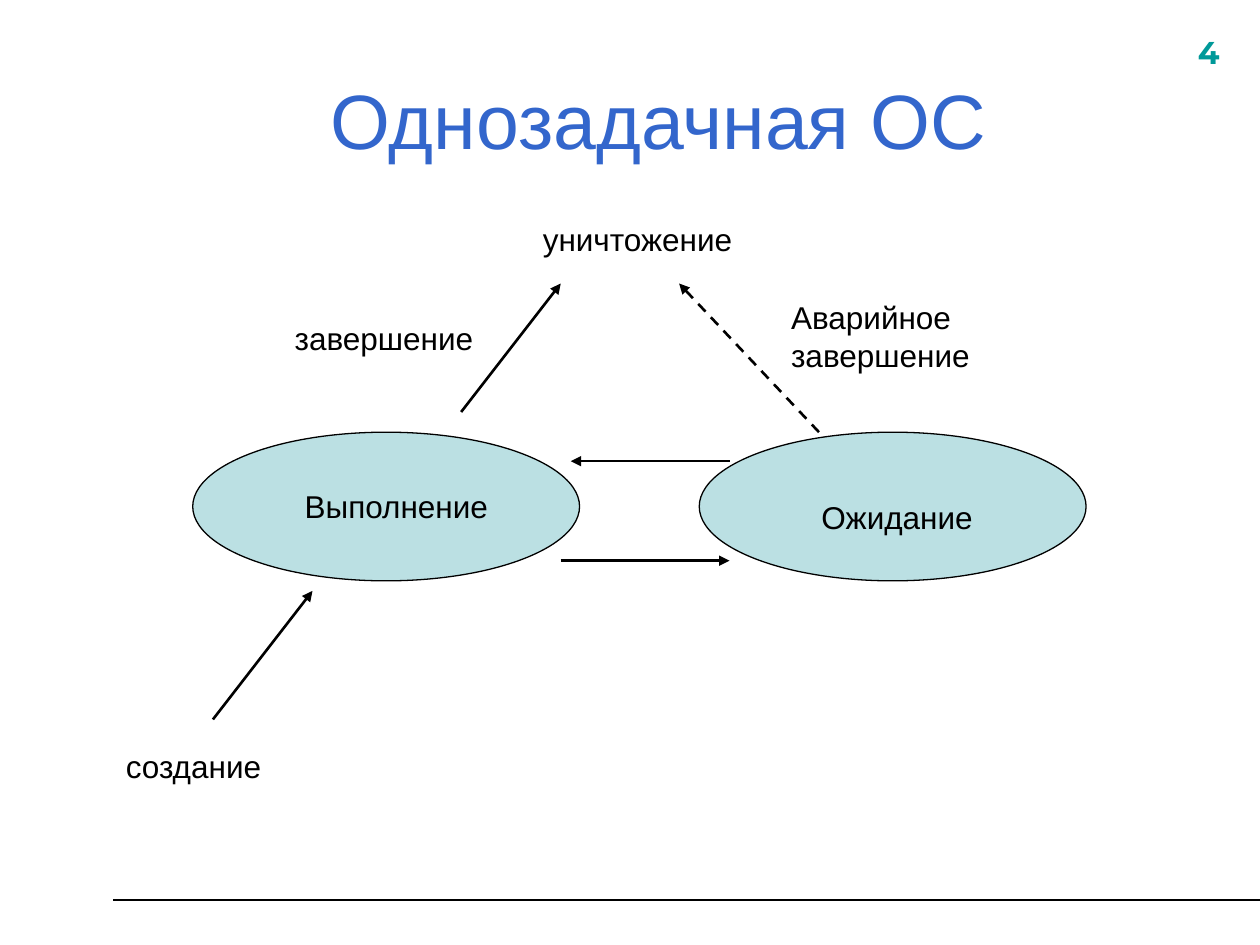
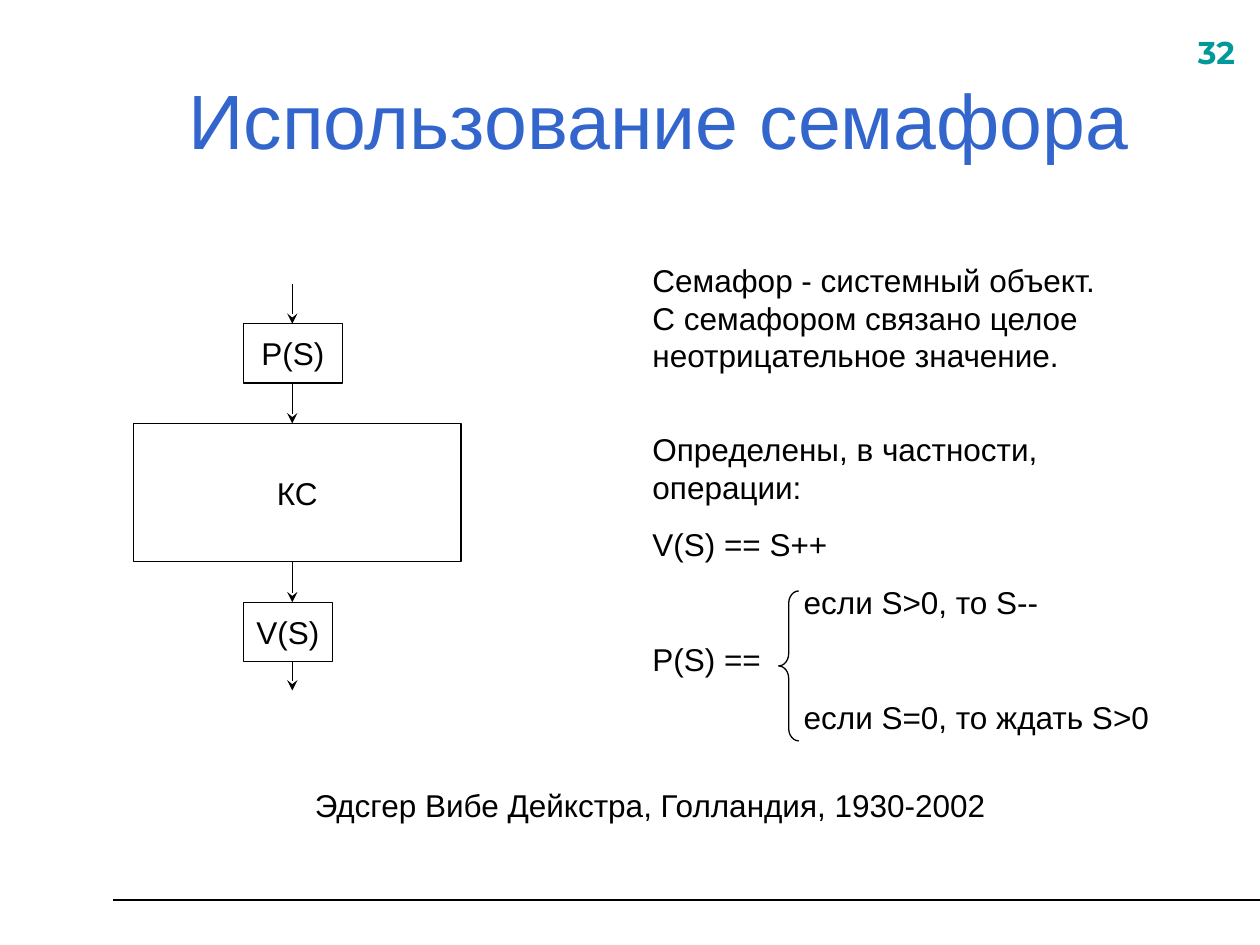
from dataclasses import dataclass

from lxml.etree import SubElement
from pptx import Presentation
from pptx.dml.color import RGBColor
from pptx.enum.dml import MSO_LINE_DASH_STYLE as Dash
from pptx.enum.shapes import MSO_CONNECTOR as Connector, MSO_SHAPE as Shape
from pptx.enum.text import MSO_ANCHOR as Anchor, MSO_AUTO_SIZE as AutoSize, PP_ALIGN as Align
from pptx.oxml.ns import qn
from pptx.util import Inches, Pt


@dataclass(frozen=True)
class Theme:
    """Colours, fonts and sizes shared by the slides."""

    ink: RGBColor = RGBColor.from_string("000000")
    title_color: RGBColor = RGBColor.from_string("3366CC")
    number_color: RGBColor = RGBColor.from_string("009999")
    state_fill: RGBColor = RGBColor.from_string("BBE0E3")
    font: str = "Arial"
    number_font: str = "Montserrat"
    title_size: float = 44
    text_size: float = 18
    paragraph_gap: float = 11.2
    section_gap: float = 32
    thin: float = 0.75
    rule: float = 1.25
    arrow: float = 1.5


class Deck:
    """Draws styled elements on the current slide."""

    def __init__(self, theme):
        self.theme = theme
        self.presentation = Presentation()
        self.presentation.slide_width = Inches(10)
        self.presentation.slide_height = Inches(7.5)
        self.slide = None

    def add_slide(self, title, number):
        theme = self.theme
        layout = self.presentation.slide_layouts.get_by_name("Title Only")
        self.slide = self.presentation.slides.add_slide(layout)
        self.line((0.9, 7.14), (10, 7.14), theme.rule)
        number_frame = self.text_frame(9.41, 0.21, 0.63, 0.44)
        self.run(number_frame.paragraphs[0], number, color=theme.number_color,
                 font=theme.number_font, bold=True)
        shape = self.slide.shapes.title
        shape.left, shape.top = Inches(0.73), Inches(0.32)
        shape.width, shape.height = Inches(9), Inches(1.25)
        frame = shape.text_frame
        frame.vertical_anchor = Anchor.MIDDLE
        frame.auto_size = AutoSize.NONE
        paragraph = frame.paragraphs[0]
        paragraph.alignment = Align.CENTER
        self.run(paragraph, title, theme.title_size, theme.title_color)

    def run(self, paragraph, text, size=None, color=None, font=None, bold=False):
        run = paragraph.add_run()
        run.text = text
        run.font.size = Pt(size or self.theme.text_size)
        run.font.name = font or self.theme.font
        run.font.bold = bold
        run.font.color.rgb = color or self.theme.ink

    def text_frame(self, left, top, width, height=0.4):
        box = self.slide.shapes.add_textbox(
            Inches(left), Inches(top), Inches(width), Inches(height))
        box.text_frame.word_wrap = True
        return box.text_frame

    def label(self, text, left, top, width, height=0.4):
        self.run(self.text_frame(left, top, width, height).paragraphs[0], text)

    def paragraph(self, frame, lines, gap=None, indent=0):
        first = not frame.paragraphs[0].runs
        paragraph = frame.paragraphs[0] if first else frame.add_paragraph()
        if indent:
            paragraph._p.get_or_add_pPr().set("marL", str(Inches(indent)))
        if not first:
            paragraph.space_before = Pt(gap or self.theme.paragraph_gap)
        for index, text in enumerate(lines):
            if index:
                paragraph.add_line_break()
            self.run(paragraph, text)

    def shape(self, kind, left, top, width, height, fill=None, text=None):
        shape = self.slide.shapes.add_shape(
            kind, Inches(left), Inches(top), Inches(width), Inches(height))
        shape.shadow.inherit = False
        if fill is None:
            shape.fill.background()
        else:
            shape.fill.solid()
            shape.fill.fore_color.rgb = fill
        shape.line.color.rgb = self.theme.ink
        shape.line.width = Pt(self.theme.thin)
        if text:
            frame = shape.text_frame
            frame.word_wrap = False
            frame.vertical_anchor = Anchor.MIDDLE
            frame.paragraphs[0].alignment = Align.CENTER
            self.run(frame.paragraphs[0], text)
        return shape

    def line(self, start, end, width, head=None, dash=None):
        connector = self.slide.shapes.add_connector(
            Connector.STRAIGHT, *map(Inches, start + end))
        connector.line.color.rgb = self.theme.ink
        connector.line.width = Pt(width)
        if dash:
            connector.line.dash_style = dash
        if head:
            SubElement(connector.line._get_or_add_ln(), qn("a:tailEnd"), type=head)
        SubElement(connector._element.spPr, qn("a:effectLst"))


def build_states(deck):
    """Draw the process states of a single-task system."""
    theme = deck.theme
    deck.add_slide("Однозадачная ОС", "4")
    for left in (1.53, 5.55):
        deck.shape(Shape.OVAL, left, 3.43, 3.07, 1.18, theme.state_fill)
    transitions = [
        ((1.69, 5.71), (2.48, 4.69), None),
        ((3.66, 3.27), (4.45, 2.25), None),
        ((4.45, 4.45), (5.79, 4.45), None),
        ((5.79, 3.66), (4.53, 3.66), None),
        ((6.5, 3.43), (5.39, 2.25), Dash.DASH),
    ]
    for start, end, dash in transitions:
        deck.line(start, end, theme.arrow, "triangle", dash)
    deck.label("Выполнение", 2.32, 3.82, 1.97)
    deck.label("Ожидание", 6.42, 3.9, 1.5)
    deck.label("создание", 0.9, 5.88, 2.29)
    deck.label("уничтожение", 4.21, 1.7, 2.2)
    deck.label("завершение", 2.24, 2.48, 2.76)
    deck.label("Аварийное завершение", 6.18, 2.32, 1.65, 0.7)


def build_semaphore(deck):
    """Draw the semaphore flow and its operations."""
    theme = deck.theme
    deck.add_slide("Использование семафора", "32")
    axis, top, gap = 2.32, 2.25, 0.32
    steps = [("P(S)", 1.93, 0.79, 0.47), ("КС", 1.06, 2.6, 1.1), ("V(S)", 1.93, 0.71, 0.47)]
    for text, left, width, height in steps:
        deck.line((axis, top), (axis, top + gap), theme.thin, "stealth")
        deck.shape(Shape.RECTANGLE, left, top + gap, width, height, text=text)
        top += gap + height
    deck.line((axis, top), (axis, 5.48), theme.thin, "stealth")

    frame = deck.text_frame(5.08, 2.02, 4.41, 3.88)
    deck.paragraph(frame, ["Семафор - системный объект.",
                           "С семафором связано целое неотрицательное значение."])
    deck.paragraph(frame, ["Определены, в частности, операции:"], theme.section_gap)
    deck.paragraph(frame, ["V(S) == S++"])
    deck.paragraph(frame, ["если S>0, то S--"], indent=1.2)
    deck.paragraph(frame, ["P(S) =="])
    deck.paragraph(frame, ["если S=0, то ждать S>0"], indent=1.2)
    brace = deck.shape(Shape.LEFT_BRACE, 6.18, 4.69, 0.16, 1.19)
    brace.adjustments[0] = 0.62
    deck.label("Эдсгер Вибе Дейкстра, Голландия, 1930-2002", 2.4, 6.19, 5.59)


def main():
    """Build and save the presentation."""
    deck = Deck(Theme())
    build_states(deck)
    build_semaphore(deck)
    deck.presentation.save("out.pptx")


if __name__ == "__main__":
    main()
